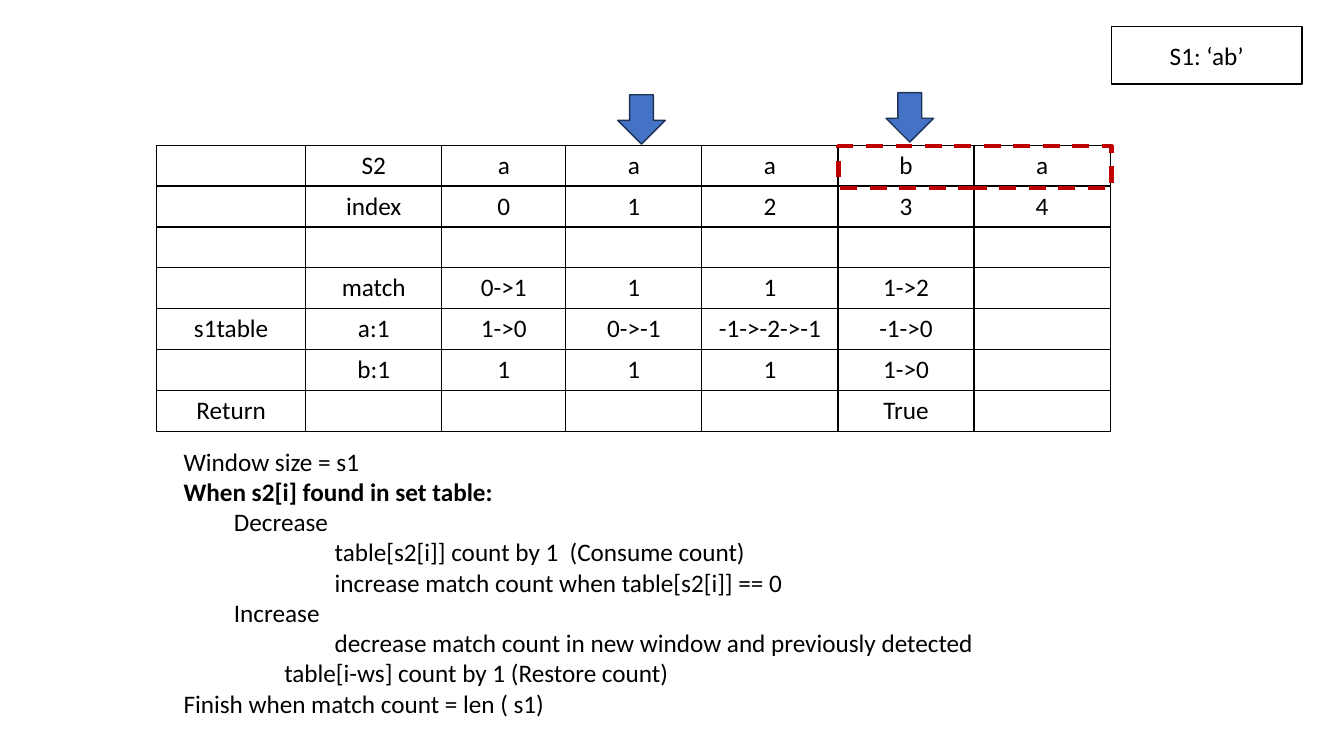
from dataclasses import dataclass

from lxml import etree
from pptx import Presentation
from pptx import util as u
from pptx.dml.color import RGBColor
from pptx.enum import dml, shapes, text
from pptx.oxml import ns


@dataclass(frozen=True)
class Theme:
    font: str = "Calibri"
    size: float = 18
    ink: str = "000000"
    window: str = "C00000"
    arrow: str = "4472C4"
    arrow_edge: str = "1E3256"
    thin: float = 1
    thick: float = 3


@dataclass(frozen=True)
class Area:
    left: float
    top: float
    width: float
    height: float

    def lengths(self) -> list:
        return [u.Pt(value) for value in (self.left, self.top, self.width, self.height)]


@dataclass(frozen=True)
class Figure:
    kind: shapes.MSO_SHAPE
    area: Area
    edge: str
    weight: float = 1
    fill: str = ""
    dashed: bool = False
    label: str = ""


@dataclass(frozen=True)
class Step:
    wording: str
    level: int = 0
    bold: bool = False


THEME = Theme()
COLUMN_WIDTHS = [106.6, 97.2, 88.6] + [97.2] * 4
ROW_HEIGHT = 29.2
INDENT = 36
TABLE_AREA = Area(111.8, 103.7, sum(COLUMN_WIDTHS), 7 * ROW_HEIGHT)
STEPS_AREA = Area(123.9, 314.9, 681.8, 203.8)

TRACE = [
    ["", "S2", "a", "a", "a", "b", "a"],
    ["", "index", "0", "1", "2", "3", "4"],
    [""] * 7,
    ["", "match", "0->1", "1", "1", "1->2", ""],
    ["s1table", "a:1", "1->0", "0->-1", "-1->-2->-1", "-1->0", ""],
    ["", "b:1", "1", "1", "1", "1->0", ""],
    ["Return", "", "", "", "", "True", ""],
]

STEPS = [
    Step("Window size = s1"),
    Step("When s2[i] found in set table:", bold=True),
    Step("Decrease", 1),
    Step("table[s2[i]] count by 1  (Consume count)", 3),
    Step("increase match count when table[s2[i]] == 0", 3),
    Step("Increase", 1),
    Step("decrease match count in new window and previously detected", 3),
    Step("table[i-ws] count by 1 (Restore count)", 2),
    Step("Finish when match count = len ( s1)"),
]

ARROWS = [
    Figure(shapes.MSO_SHAPE.DOWN_ARROW, Area(left, top, 34, 35.3),
           THEME.arrow_edge, THEME.thin, fill=THEME.arrow)
    for left, top in ((632.9, 66.2), (441.2, 67.7))
]
FIGURES = [
    Figure(shapes.MSO_SHAPE.RECTANGLE, Area(794, 19.1, 136, 40.9),
           THEME.ink, THEME.thin, label="S1: ‘ab’"),
    Figure(shapes.MSO_SHAPE.RECTANGLE, Area(599, 104.4, 195, 30.1),
           THEME.window, THEME.thick, dashed=True),
    *ARROWS,
]


def style_runs(para, bold: bool = False) -> None:
    for span in para.runs:
        span.font.name = THEME.font
        span.font.size = u.Pt(THEME.size)
        span.font.bold = bold
        span.font.color.rgb = RGBColor.from_string(THEME.ink)


def write_centred(frame, wording: str) -> None:
    frame.text = wording
    para = frame.paragraphs[0]
    para.alignment = text.PP_ALIGN.CENTER
    style_runs(para)


def add_borders(cell) -> None:
    properties = cell._tc.get_or_add_tcPr()
    for side in ("lnL", "lnR", "lnT", "lnB"):
        line = etree.SubElement(properties, ns.qn(f"a:{side}"), w=str(u.Pt(THEME.thin)))
        fill = etree.SubElement(line, ns.qn("a:solidFill"))
        etree.SubElement(fill, ns.qn("a:srgbClr"), val=THEME.ink)


def add_trace(page) -> None:
    """Draw the table that follows the matching index by index."""
    table = page.shapes.add_table(len(TRACE), len(COLUMN_WIDTHS), *TABLE_AREA.lengths()).table
    table.first_row = table.horz_banding = False
    for column, width in zip(table.columns, COLUMN_WIDTHS):
        column.width = u.Pt(width)
    for row, values in zip(table.rows, TRACE):
        row.height = u.Pt(ROW_HEIGHT)
        for cell, value in zip(row.cells, values):
            write_centred(cell.text_frame, value)
            add_borders(cell)
            cell.fill.background()


def fill_steps(box) -> None:
    box.left, box.top, box.width, box.height = STEPS_AREA.lengths()
    frame = box.text_frame
    frame.text = "\n".join(step.wording for step in STEPS)
    frame.word_wrap = True
    frame.auto_size = text.MSO_AUTO_SIZE.NONE
    frame.vertical_anchor = text.MSO_ANCHOR.TOP
    for para, step in zip(frame.paragraphs, STEPS):
        para.alignment = text.PP_ALIGN.LEFT
        para.line_spacing = 1.0
        para.space_before = para.space_after = u.Pt(0)
        properties = para._p.get_or_add_pPr()
        properties.set("marL", str(u.Pt(step.level * INDENT)))
        properties.set("indent", "0")
        etree.SubElement(properties, ns.qn("a:buNone"))
        style_runs(para, step.bold)


def add_figure(page, figure: Figure) -> None:
    shape = page.shapes.add_shape(figure.kind, *figure.area.lengths())
    shape.shadow.inherit = False
    shape.line.color.rgb = RGBColor.from_string(figure.edge)
    shape.line.width = u.Pt(figure.weight)
    if figure.dashed:
        shape.line.dash_style = dml.MSO_LINE.DASH
    if figure.fill:
        shape.fill.solid()
        shape.fill.fore_color.rgb = RGBColor.from_string(figure.fill)
    else:
        shape.fill.background()
    if figure.label:
        shape.text_frame.vertical_anchor = text.MSO_ANCHOR.MIDDLE
        write_centred(shape.text_frame, figure.label)


def main() -> None:
    deck = Presentation()
    deck.slide_width, deck.slide_height = u.Pt(960), u.Pt(540)
    page = deck.slides.add_slide(deck.slide_layouts[1])
    title = page.shapes.title.element
    title.getparent().remove(title)
    fill_steps(page.placeholders[1])
    add_trace(page)
    for figure in FIGURES:
        add_figure(page, figure)
    deck.save("out.pptx")


if __name__ == "__main__":
    main()
